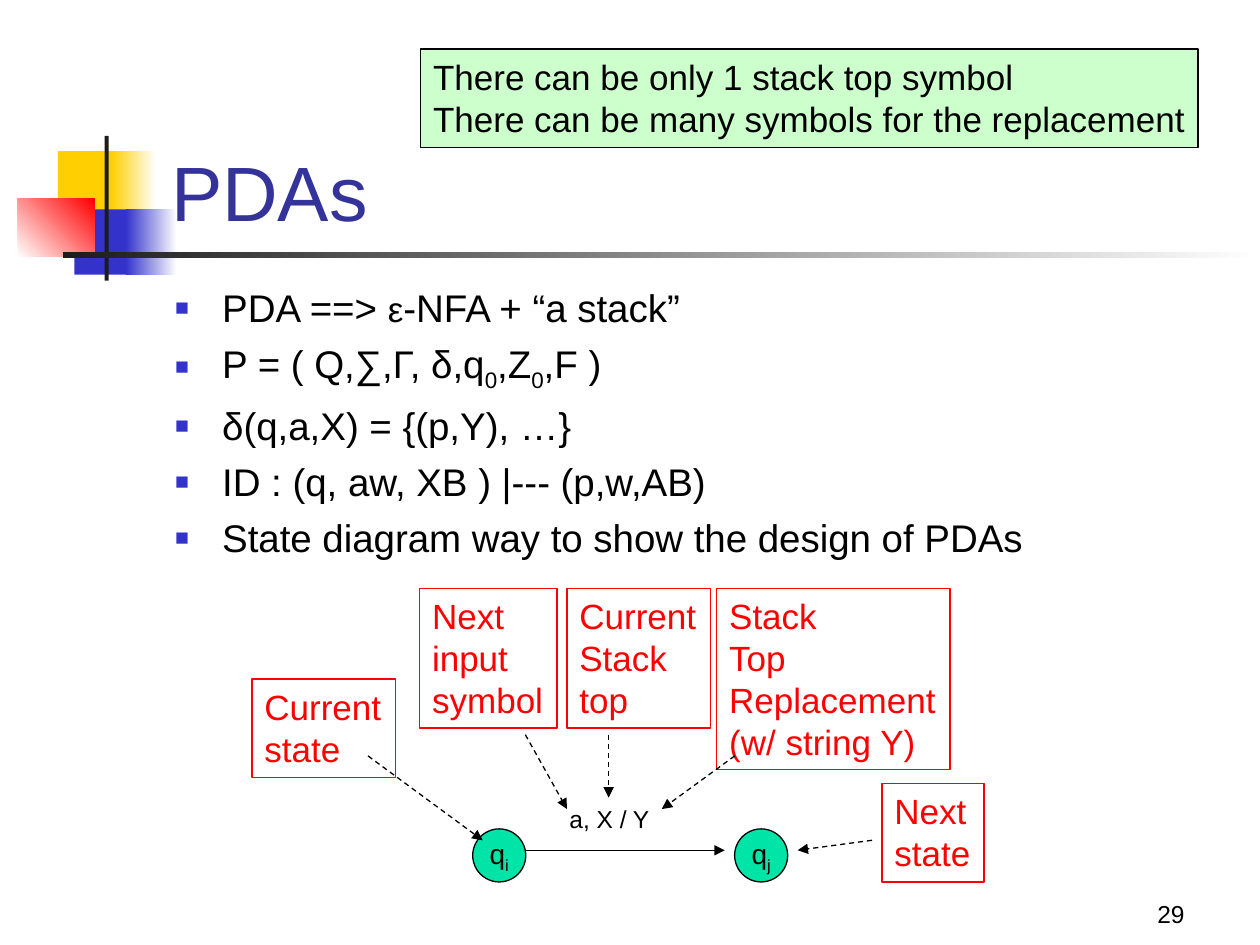
from lxml import etree
from pptx import Presentation
from pptx.dml.color import RGBColor
from pptx.enum.dml import MSO_LINE
from pptx.enum.shapes import MSO_CONNECTOR, MSO_SHAPE
from pptx.enum.text import MSO_ANCHOR, MSO_AUTO_SIZE, PP_ALIGN
from pptx.oxml.ns import qn
from pptx.util import Cm, Pt

RECT, OVAL = MSO_SHAPE.RECTANGLE, MSO_SHAPE.OVAL
LINE, DASH = MSO_CONNECTOR.STRAIGHT, MSO_LINE.DASH
TOP, MID, LOW = MSO_ANCHOR.TOP, MSO_ANCHOR.MIDDLE, MSO_ANCHOR.BOTTOM
LEFT, MIDST, RIGHT = PP_ALIGN.LEFT, PP_ALIGN.CENTER, PP_ALIGN.RIGHT
GROW = MSO_AUTO_SIZE.SHAPE_TO_FIT_TEXT
FONT = "Arial"
HUES = {
    "black": "000000", "white": "FFFFFF", "gold": "FFCF01", "blue": "3333CC",
    "red": "FF0000", "ink": "1C1C1C", "navy": "333399", "mint": "00E4A8",
    "pale": "CCFFCC",
}
SUB = {"baseline": "-25000"}
SMALL = {"sz": "2000"}


def hue(name):
    return RGBColor.from_string(HUES[name])


def place(box, x, y, w, h):
    return Cm(box[0] + x), Cm(box[1] + y), Cm(w), Cm(h)


def shape(slide, kind, spot, fill=None, line=None):
    item = slide.shapes.add_shape(kind, *spot)
    item.shadow.inherit = False
    if fill:
        item.fill.solid()
        item.fill.fore_color.rgb = hue(fill)
    else:
        item.fill.background()
    if line:
        item.line.color.rgb = hue(line)
        item.line.width = Pt(0.75)
    else:
        item.line.fill.background()
    return item


def fade(item, start, end, angle):
    item.fill.gradient()
    item.fill.gradient_angle = angle
    for stop, name in zip(item.fill.gradient_stops, (start, end)):
        stop.color.rgb = hue(name)


def style(par, size, color, align=LEFT):
    par.alignment = align
    par.font.name = FONT
    par.font.size = Pt(size)
    par.font.color.rgb = hue(color)


def mark(par, text, odd=SUB):
    for i, part in enumerate(text.split("_")):
        run = par.add_run()
        run.text = part
        if i % 2:
            for key, val in odd.items():
                run._r.get_or_add_rPr().set(key, val)


def write(item, text, size, color, align=LEFT, anchor=TOP, wrap=True):
    frame = item.text_frame
    frame.word_wrap = wrap
    frame.vertical_anchor = anchor
    frame.text = text
    for par in frame.paragraphs:
        style(par, size, color, align)


def note(slide, spot, text, color, line, fill=None):
    item = shape(slide, RECT, spot, fill, line)
    write(item, text, 20, color, wrap=False)
    item.text_frame.auto_size = GROW


def arrow(slide, box, x1, y1, x2, y2, dash=DASH):
    ends = [Cm(box[i % 2] + n) for i, n in enumerate((x1, y1, x2, y2))]
    item = slide.shapes.add_connector(LINE, *ends)
    item.line.color.rgb = hue("black")
    item.line.width = Pt(0.75)
    if dash:
        item.line.dash_style = dash
    etree.SubElement(item.line._get_or_add_ln(), qn("a:tailEnd"), type="triangle")
    etree.SubElement(item._element.spPr, qn("a:effectLst"))


def motif(slide, box):
    for x, y, w, h, start, end, angle in (
        (0.81, 0.31, 1.22, 1.32, "gold", None, 0),
        (1.88, 0.31, 0.91, 1.32, "gold", "white", 0),
        (1.14, 1.48, 1.17, 1.32, "blue", None, 0),
        (2.18, 1.48, 1.02, 1.32, "blue", "white", 0),
        (0, 1.27, 1.55, 1.17, "white", "red", 45),
        (1.75, 0, 0.08, 2.92, "ink", None, 0),
        (0.91, 2.34, 24.13, 0.13, "ink", "white", 0),
    ):
        item = shape(slide, RECT, place(box, x, y, w, h), start)
        if end:
            fade(item, start, end, angle)


def label(slide, box, text, size, color, align=LEFT, anchor=LOW):
    item = slide.shapes.add_textbox(*place(box, 0, 0, *box[2:]))
    write(item, text, size, color, align, anchor)


def body(slide, box, lines):
    frame = slide.shapes.add_textbox(*place(box, 0, 0, *box[2:])).text_frame
    frame.word_wrap = True
    for i, (text, odd) in enumerate(lines):
        par = frame.add_paragraph() if i else frame.paragraphs[0]
        par.space_before = Pt(5.5)
        props = par._p.get_or_add_pPr()
        props.set("marL", str(Cm(0.95)))
        props.set("indent", str(-Cm(0.95)))
        tint = etree.SubElement(props, qn("a:buClr"))
        etree.SubElement(tint, qn("a:srgbClr"), val=HUES["blue"])
        etree.SubElement(props, qn("a:buSzPct"), val="60000")
        etree.SubElement(props, qn("a:buFont"), typeface=FONT)
        etree.SubElement(props, qn("a:buChar"), char="■")
        style(par, 22, "black")
        mark(par, text, odd)


def graph(slide, box):
    for x, text in ((4.45, "q_i_"), (9.73, "q_j_")):
        item = shape(slide, OVAL, place(box, x, 4.85, 1.07, 1.07), "mint", "black")
        write(item, "", 16, "black", MIDST, MID, False)
        mark(item.text_frame.paragraphs[0], text)
    arrow(slide, box, 5.51, 5.28, 9.53, 5.28, None)
    item = slide.shapes.add_textbox(*place(box, 6.15, 4.22, 2.26, 0.84))
    write(item, "a, X / Y ", 14, "black", wrap=False)
    for x, y, w, h, text in (
        (3.38, 0, 2.77, 2.82, "Next \vinput \vsymbol"),
        (0, 1.83, 2.9, 1.98, "Current\vstate"),
        (6.35, 0, 2.9, 2.82, "Current\nStack\vtop"),
        (9.37, 0, 4.7, 3.66, "Stack\nTop\nReplacement\n(w/ string Y)"),
        (12.7, 3.94, 2.06, 1.98, "Next\vstate"),
    ):
        note(slide, place(box, x, y, w, h), text, "red", "red")
    for ends in (
        (2.34, 3.38, 4.65, 5.08),
        (5.51, 2.95, 6.35, 4.45),
        (7.19, 2.95, 7.19, 4.22),
        (9.73, 3.38, 8.26, 4.45),
        (12.5, 5.08, 11, 5.28),
    ):
        arrow(slide, box, *ends)


deck = Presentation()
deck.slide_width, deck.slide_height = Cm(25.4), Cm(19.05)
slide = deck.slides.add_slide(deck.slide_layouts[6])
motif(slide, (0.36, 2.74))
label(slide, (18.85, 17.58, 5.28, 1.27), "29", 14, "black", RIGHT)
label(slide, (3.2, 1.73, 21.64, 3.18), "PDAs", 44, "navy")
body(slide, (3.28, 5.61, 21.59, 11.43), (
    ("PDA ==> _ε_-NFA + “a stack”", SMALL),
    ("P = ( Q,∑,Γ, δ,q_0_,Z_0_,F )", SUB),
    ("δ(q,a,X) = {(p,Y), …}", SUB),
    ("ID : (q, aw, XB ) |--- (p,w,AB)", SUB),
    ("State diagram way to show the design of PDAs", SUB),
))
graph(slide, (5.08, 11.86))
note(
    slide, place((8.48, 0.99), 0, 0, 15.67, 1.98),
    "There can be only 1 stack top symbol\n"
    "There can be many symbols for the replacement",
    "black", "black", "pale",
)
deck.save("out.pptx")
